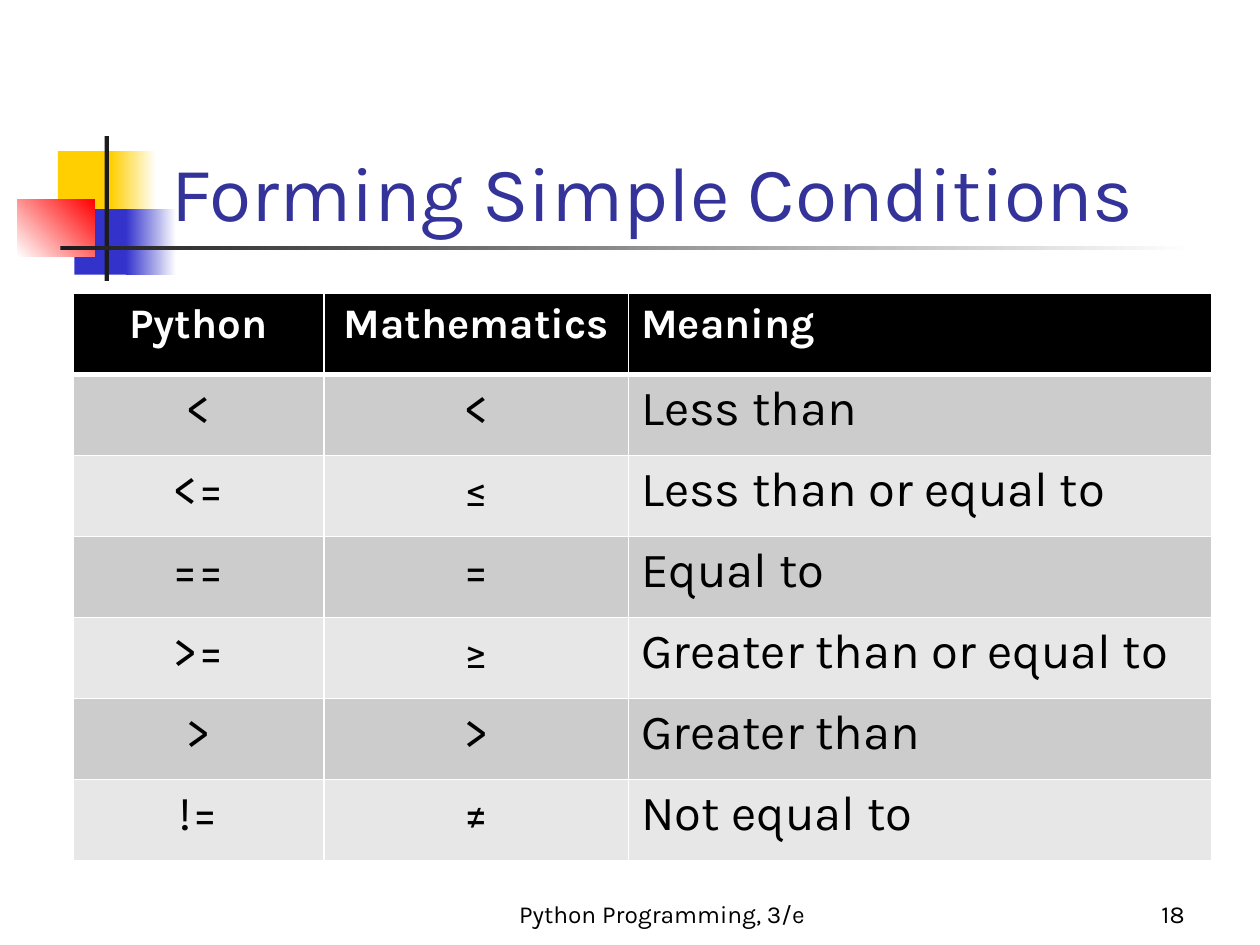
from pptx import Presentation
from pptx.dml.color import RGBColor
from pptx.enum.shapes import MSO_SHAPE as Preset
from pptx.enum.text import MSO_ANCHOR as Anchor, PP_ALIGN as Align
from pptx.oxml import parse_xml
from pptx.oxml.ns import nsdecls
from pptx.util import Inches, Pt

WHITE, BLACK, INK = "FFFFFF", "000000", "1C1C1C"
YELLOW, BLUE, RED, TITLE_BLUE = "FFCF01", "3333CC", "FF0000", "333399"
BANDS = "CCCCCC", "E7E7E7"

CONDITIONS = [
    ("Python", "Mathematics", "Meaning"),
    ("<", "<", "Less than"),
    ("<=", "≤", "Less than or equal to"),
    ("==", "=", "Equal to"),
    (">=", "≥", "Greater than or equal to"),
    (">", ">", "Greater than"),
    ("!=", "≠", "Not equal to"),
]


def rgb(value):
    return RGBColor.from_string(value)


class ConditionsSlide:
    """Places elements on a grid of 100 columns by 75 rows."""
    font = "Karla"
    columns, rows = 100, 75

    def __init__(self, deck):
        self.column = deck.slide_width / self.columns
        self.row = deck.slide_height / self.rows
        self.slide = deck.slides.add_slide(deck.slide_layouts[6])

    def place(self, left, top, width, height):
        return (round(left * self.column), round(top * self.row),
                round(width * self.column), round(height * self.row))

    def block(self, box, color, fade_to=None, angle=0):
        """Draw a plain rectangle, or one that fades along angle."""
        shape = self.slide.shapes.add_shape(Preset.RECTANGLE, *self.place(*box))
        shape.shadow.inherit = False
        shape.line.fill.background()
        if fade_to is None:
            shape.fill.solid()
            shape.fill.fore_color.rgb = rgb(color)
            return
        shape.fill.gradient()
        shape.fill.gradient_angle = angle
        for stop, shade in zip(shape.fill.gradient_stops, (color, fade_to)):
            stop.color.rgb = rgb(shade)

    def add_wording(self, frame, wording, size, color, align, bold=False):
        paragraph = frame.paragraphs[0]
        paragraph.alignment = align
        run = paragraph.add_run()
        run.text = wording
        run.font.name, run.font.size, run.font.bold = self.font, Pt(size), bold
        run.font.color.rgb = rgb(color)

    def text(self, box, wording, size, color, align):
        frame = self.slide.shapes.add_textbox(*self.place(*box)).text_frame
        frame.word_wrap = True
        frame.vertical_anchor = Anchor.BOTTOM
        self.add_wording(frame, wording, size, color, align)

    def borders(self, cell, **widths):
        """Draw white borders, widths in points keyed L, R, T, B."""
        properties = cell._tc.get_or_add_tcPr()
        for index, side in enumerate("LRTB"):
            properties.insert(index, parse_xml(
                f'<a:ln{side} {nsdecls("a")} w="{Pt(widths.get(side, 1))}">'
                f'<a:solidFill><a:srgbClr val="{WHITE}"/></a:solidFill>'
                f'</a:ln{side}>'))

    def table(self, box, column_widths, records):
        table = self.slide.shapes.add_table(
            len(records), len(column_widths), *self.place(*box)).table
        for column, width in zip(table.columns, column_widths):
            column.width = round(width * self.column)
        for row, record in enumerate(records):
            header = row == 0
            fill = BLACK if header else BANDS[(row - 1) % 2]
            size, color = (24, WHITE) if header else (28, BLACK)
            for col, wording in enumerate(record):
                cell = table.cell(row, col)
                cell.fill.solid()
                cell.fill.fore_color.rgb = rgb(fill)
                self.borders(cell, B=3 if header else 1, T=3 if row == 1 else 1)
                align = Align.LEFT if col == 2 else Align.CENTER
                self.add_wording(cell.text_frame, wording, size, color, align, header)


def main():
    deck = Presentation()
    deck.slide_width, deck.slide_height = Inches(10), Inches(7.5)
    page = ConditionsSlide(deck)

    page.block((4.6, 12, 4.8, 5.2), YELLOW)
    page.block((8.8, 12, 3.6, 5.2), YELLOW, WHITE)
    page.block((5.9, 16.6, 4.6, 5.2), BLUE)
    page.block((10, 16.6, 4, 5.2), BLUE, WHITE)
    page.block((1.4, 15.8, 6.1, 4.6), WHITE, RED, angle=45)
    page.block((8.3, 10.8, 0.35, 11.5), INK)
    page.block((4.8, 19.5, 90, 0.35), INK, WHITE)

    page.text((36.7, 69.2, 31.7, 5), "Python Programming, 3/e", 14, BLACK, Align.CENTER)
    page.text((74.2, 69.2, 20.8, 5), "18", 14, BLACK, Align.RIGHT)
    page.text((12.6, 6.8, 85.2, 12.5), "Forming Simple Conditions", 44,
              TITLE_BLUE, Align.LEFT)
    page.table((5.8, 23.3, 90.4, 45), (19.9, 24.2, 46.3), CONDITIONS)

    deck.save("out.pptx")


if __name__ == "__main__":
    main()
